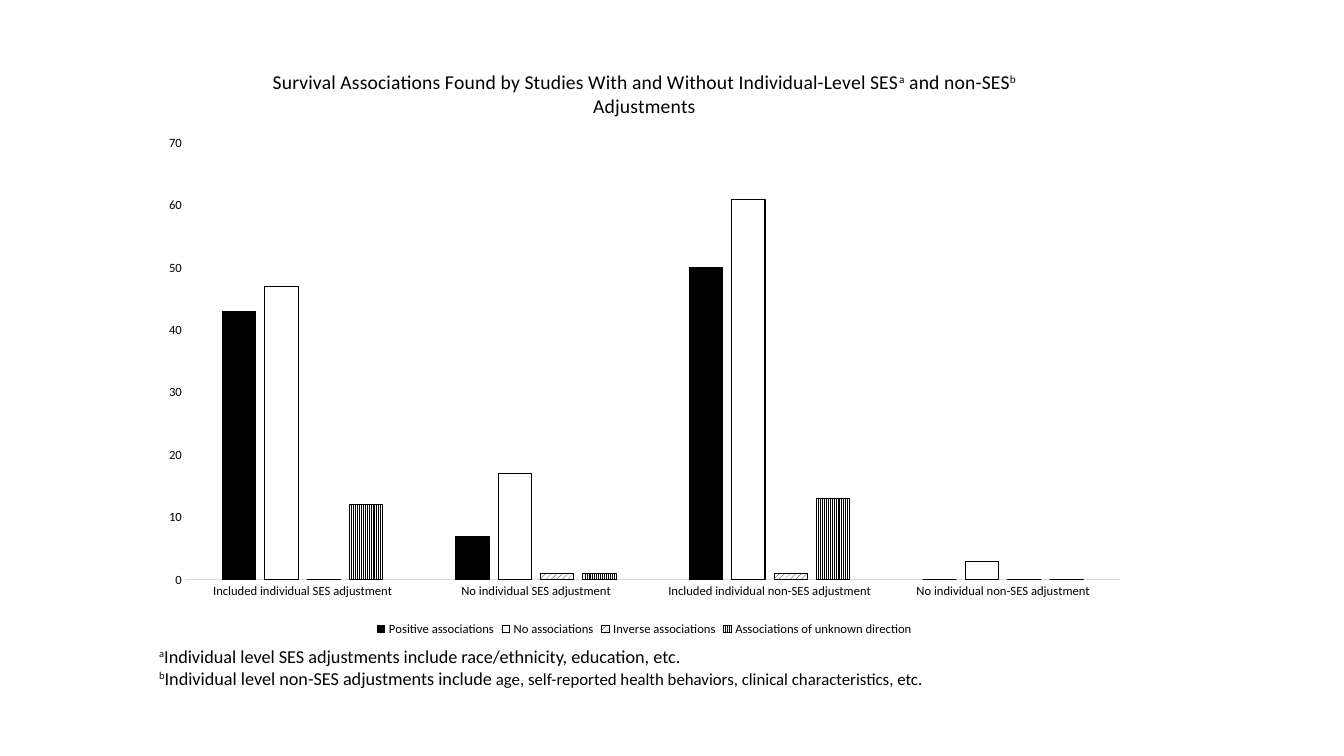
from dataclasses import dataclass
from typing import Optional

import pptx
import pptx.chart.data
import pptx.dml.color
import pptx.enum.chart
import pptx.enum.dml
import pptx.enum.text
import pptx.oxml
import pptx.oxml.ns
import pptx.util

COLORS = {"ink": "000000", "paper": "FFFFFF", "axis": "D9D9D9"}
FONT = "Calibri"
SLIDE_WIDTH = pptx.util.Inches(13.33)
SLIDE_HEIGHT = pptx.util.Inches(7.5)
PATTERN = pptx.enum.dml.MSO_PATTERN


@dataclass(frozen=True)
class Area:
    """A rectangle in shares of the slide's size."""
    left: float
    top: float
    width: float
    height: float

    def lengths(self) -> tuple[int, int, int, int]:
        return (int(self.left * SLIDE_WIDTH), int(self.top * SLIDE_HEIGHT),
                int(self.width * SLIDE_WIDTH), int(self.height * SLIDE_HEIGHT))


@dataclass(frozen=True)
class Piece:
    text: str
    size: float
    raised: bool = False


@dataclass(frozen=True)
class Outcome:
    """One series: solid, patterned or hollow columns."""
    name: str
    counts: tuple[int, ...]
    solid: bool = False
    pattern: Optional[PATTERN] = None


CHART_AREA = Area(0.111, 0.064, 0.737, 0.783)
NOTES_AREA = Area(0.111, 0.847, 0.657, 0.072)
PLOT_SHARES = {"x": 0.037, "y": 0.16, "w": 0.943, "h": 0.738}

TITLE = [
    Piece("Survival Associations Found by Studies With and Without Individual-Level SES", 14),
    Piece("a", 14, True),
    Piece(" and non-SES", 14),
    Piece("b", 14, True),
    Piece(" Adjustments", 14),
]
NOTES = [
    [Piece("a", 13, True),
     Piece("Individual level SES adjustments include race/ethnicity, education, etc.", 13)],
    [Piece("b", 13, True),
     Piece("Individual level non-SES adjustments include ", 13),
     Piece("age, self-reported health behaviors, clinical characteristics, etc.", 12)],
]
CATEGORIES = [
    "Included individual SES adjustment",
    "No individual SES adjustment",
    "Included individual non-SES adjustment",
    "No individual non-SES adjustment",
]
OUTCOMES = [
    Outcome("Positive associations", (43, 7, 50, 0), solid=True),
    Outcome("No associations", (47, 17, 61, 3)),
    Outcome("Inverse associations", (0, 1, 1, 0), pattern=PATTERN.WIDE_UPWARD_DIAGONAL),
    Outcome("Associations of unknown direction", (12, 1, 13, 0), pattern=PATTERN.LIGHT_VERTICAL),
]


def color(name: str) -> pptx.dml.color.RGBColor:
    return pptx.dml.color.RGBColor.from_string(COLORS[name])


def style_font(font, size: float) -> None:
    font.name = FONT
    font.size = pptx.util.Pt(size)
    font.bold = False
    font.color.rgb = color("ink")


def write_pieces(paragraph, pieces: list[Piece]) -> None:
    for piece in pieces:
        run = paragraph.add_run()
        run.text = piece.text
        style_font(run.font, piece.size)
        if piece.raised:
            run._r.get_or_add_rPr().set("baseline", "30000")


def style_series(series, outcome: Outcome) -> None:
    fill = series.format.fill
    if outcome.solid:
        fill.solid()
        fill.fore_color.rgb = color("ink")
    elif outcome.pattern is not None:
        fill.patterned()
        fill.pattern = outcome.pattern
        fill.fore_color.rgb = color("ink")
        fill.back_color.rgb = color("paper")
    else:
        fill.background()
    series.invert_if_negative = False
    series.format.line.color.rgb = color("ink")
    series.format.line.width = pptx.util.Pt(0.75)


def place_plot(chart) -> None:
    plot_area = chart._chartSpace.chart.plotArea
    for old_layout in plot_area.findall(pptx.oxml.ns.qn("c:layout")):
        plot_area.remove(old_layout)
    settings = '<c:layoutTarget val="inner"/><c:xMode val="edge"/><c:yMode val="edge"/>'
    settings += "".join(f'<c:{side} val="{share}"/>' for side, share in PLOT_SHARES.items())
    plot_area.insert(0, pptx.oxml.parse_xml(
        f'<c:layout {pptx.oxml.ns.nsdecls("c")}>'
        f'<c:manualLayout>{settings}</c:manualLayout></c:layout>'))


def add_survival_chart(slide) -> None:
    data = pptx.chart.data.CategoryChartData()
    data.categories = CATEGORIES
    for outcome in OUTCOMES:
        data.add_series(outcome.name, outcome.counts)
    chart = slide.shapes.add_chart(
        pptx.enum.chart.XL_CHART_TYPE.COLUMN_CLUSTERED, *CHART_AREA.lengths(), data).chart
    style_font(chart.font, 10)

    # Title
    chart.has_title = True
    write_pieces(chart.chart_title.text_frame.paragraphs[0], TITLE)
    chart.chart_title.include_in_layout = False

    # Columns
    plot = chart.plots[0]
    plot.gap_width = 219
    plot.overlap = -27
    plot.vary_by_categories = False
    for series, outcome in zip(plot.series, OUTCOMES):
        style_series(series, outcome)
    place_plot(chart)

    # Axes
    for axis in (chart.category_axis, chart.value_axis):
        axis.has_major_gridlines = False
        axis.major_tick_mark = pptx.enum.chart.XL_TICK_MARK.NONE
        axis.minor_tick_mark = pptx.enum.chart.XL_TICK_MARK.NONE
        style_font(axis.tick_labels.font, 9)
    chart.category_axis.format.line.color.rgb = color("axis")
    chart.category_axis.format.line.width = pptx.util.Pt(0.75)
    chart.value_axis.format.line.fill.background()
    chart.value_axis.minimum_scale = 0
    chart.value_axis.maximum_scale = 70
    chart.value_axis.major_unit = 10

    # Legend
    chart.has_legend = True
    chart.legend.position = pptx.enum.chart.XL_LEGEND_POSITION.BOTTOM
    chart.legend.include_in_layout = False
    style_font(chart.legend.font, 9)


def add_notes_text(slide) -> None:
    frame = slide.shapes.add_textbox(*NOTES_AREA.lengths()).text_frame
    frame.word_wrap = True
    frame.auto_size = pptx.enum.text.MSO_AUTO_SIZE.SHAPE_TO_FIT_TEXT
    for index, pieces in enumerate(NOTES):
        paragraph = frame.add_paragraph() if index else frame.paragraphs[0]
        write_pieces(paragraph, pieces)


def main() -> None:
    presentation = pptx.Presentation()
    presentation.slide_width = SLIDE_WIDTH
    presentation.slide_height = SLIDE_HEIGHT
    slide = presentation.slides.add_slide(presentation.slide_layouts[6])
    add_notes_text(slide)
    add_survival_chart(slide)
    presentation.save("out.pptx")


if __name__ == "__main__":
    main()
